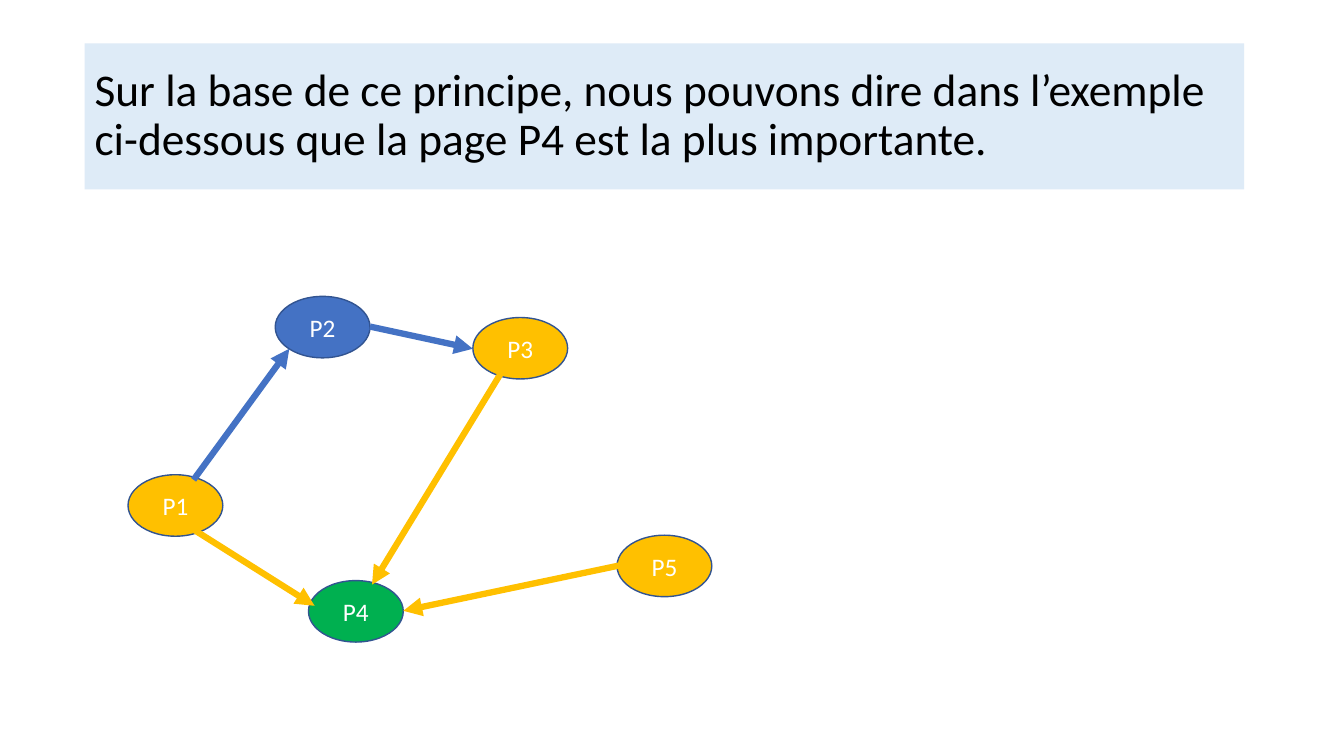
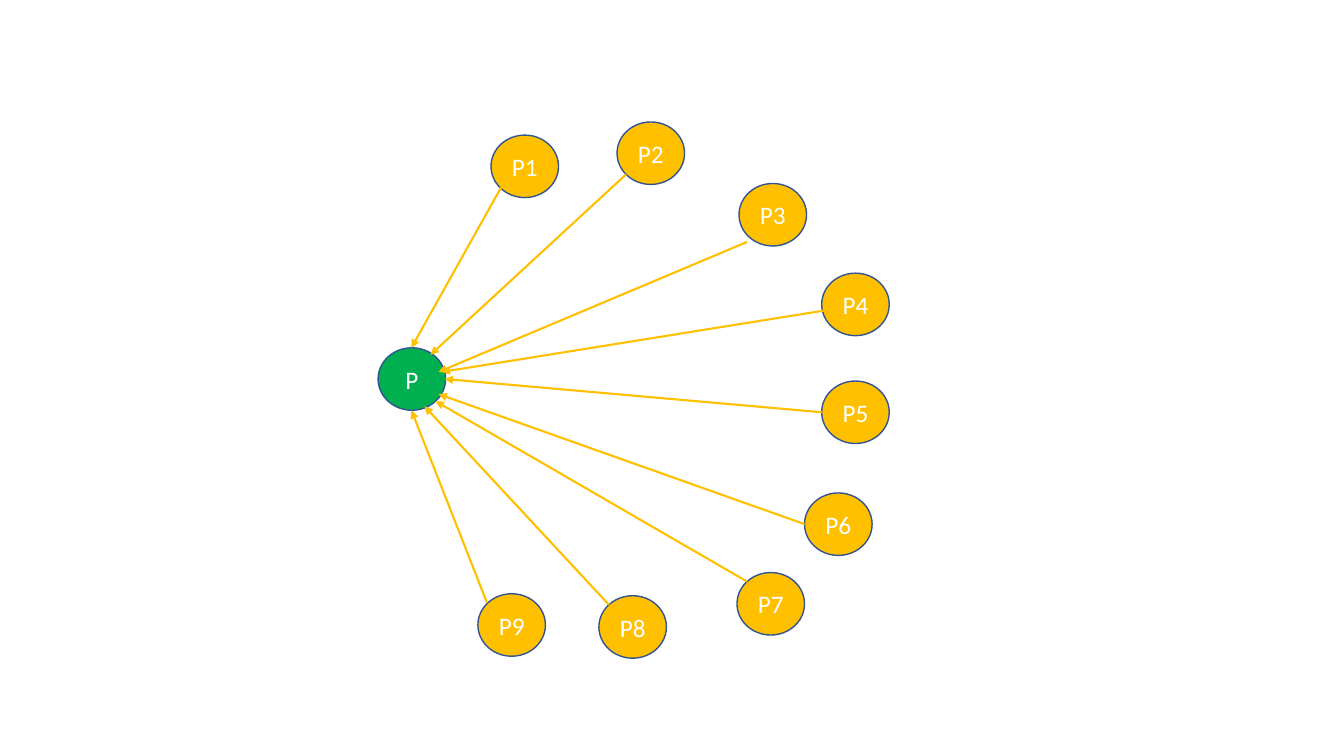
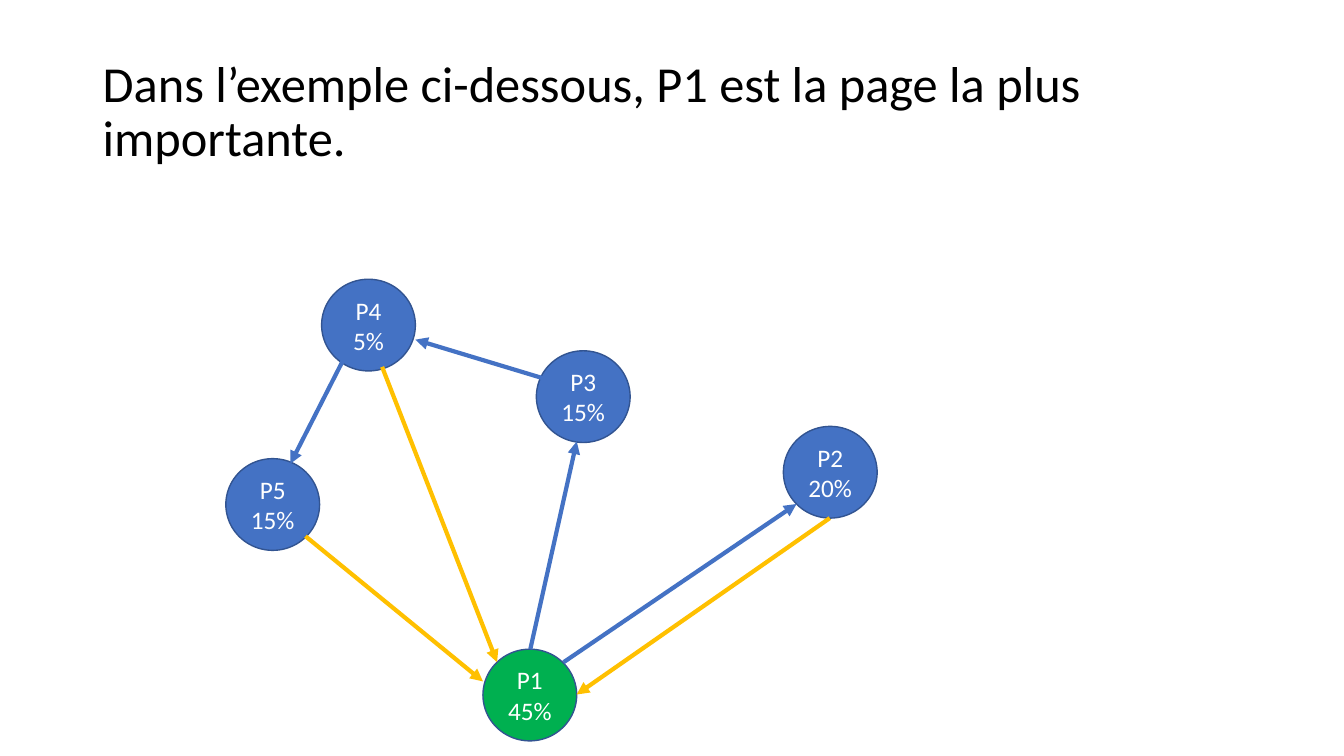
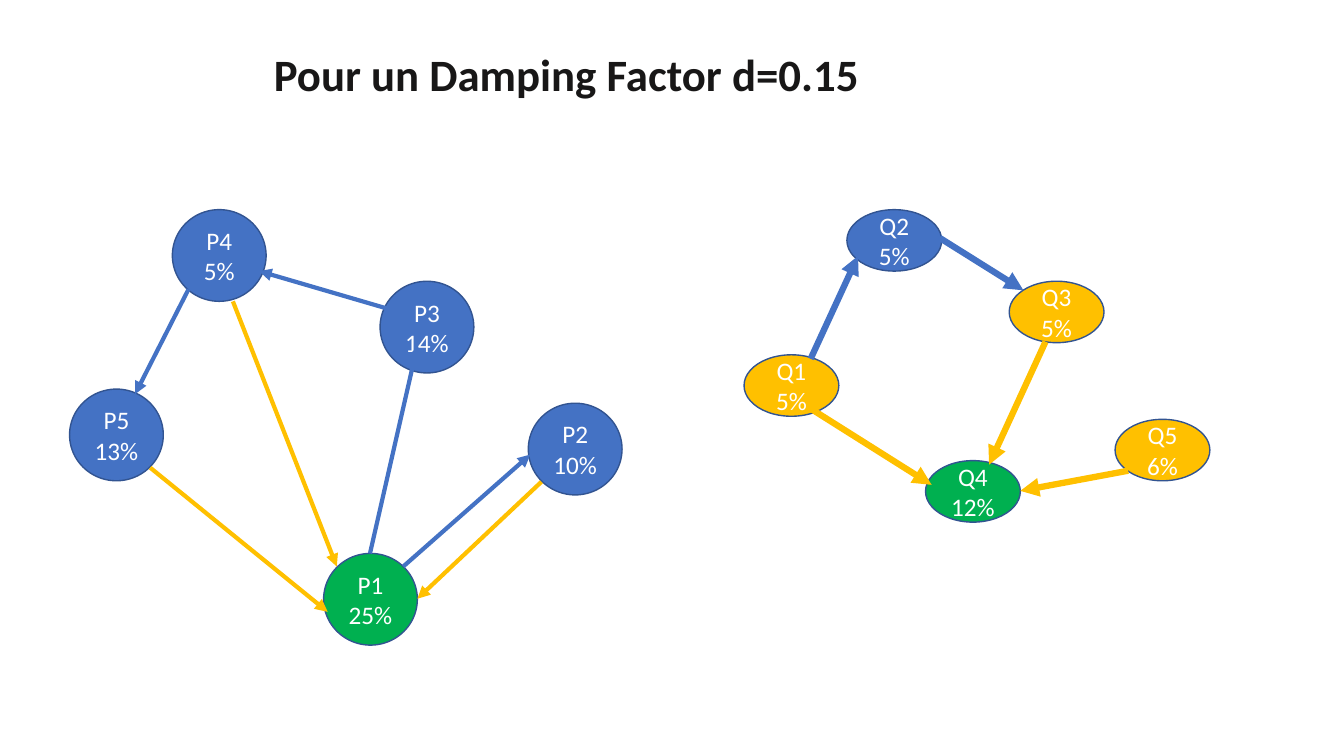
from dataclasses import dataclass
from typing import Any, Optional

from pptx import Presentation
from pptx.dml.color import RGBColor
from pptx.enum.shapes import MSO_CONNECTOR as Wire, MSO_SHAPE as Form
from pptx.enum.text import MSO_ANCHOR as Anchor, PP_ALIGN as Align
from pptx.oxml.ns import qn
from pptx.oxml.xmlchemy import OxmlElement as Tag
from pptx.util import Inches, Pt

FONT = "Calibri"
GOLD = RGBColor(0xFF, 0xC0, 0x00)
BLUE = RGBColor(0x44, 0x72, 0xC4)
GREEN = RGBColor(0x00, 0xB0, 0x50)
EDGE = RGBColor(0x32, 0x54, 0x91)
PALE = RGBColor(0xDE, 0xEB, 0xF7)
WHITE = RGBColor(0xFF, 0xFF, 0xFF)
BLACK = RGBColor(0x00, 0x00, 0x00)
INK = RGBColor(0x18, 0x17, 0x17)


@dataclass
class Node:
    text: str
    x: float
    y: float
    hue: RGBColor = GOLD


@dataclass
class Link:
    x1: float
    y1: float
    x2: float
    y2: float
    hue: RGBColor = GOLD


@dataclass
class Graph:
    wide: float
    high: float
    weight: float
    nodes: list[Node]
    links: list[Link]


@dataclass
class Head:
    text: str
    x: float
    y: float
    wide: float
    high: float
    size: float
    hue: RGBColor = BLACK
    fill: Optional[RGBColor] = None
    bold: bool = False
    align: Any = Align.LEFT
    space: float = 0.9


@dataclass
class Page:
    graphs: list[Graph]
    head: Optional[Head] = None


def assign(item: Any, values: dict[str, Any]) -> None:
    for name, value in values.items():
        setattr(item, name, value)


def write(shape: Any, text: str, wrap: bool, font: dict[str, Any],
          para: dict[str, Any], hue: RGBColor) -> None:
    frame = shape.text_frame
    frame.text = text
    assign(frame, {"word_wrap": wrap, "vertical_anchor": Anchor.MIDDLE})
    for line in frame.paragraphs:
        assign(line, para)
        for run in line.runs:
            assign(run.font, {"name": FONT, **font})
            run.font.color.rgb = hue


def draw_head(slide: Any, head: Head) -> None:
    box = slide.shapes.add_textbox(Inches(head.x), Inches(head.y),
                                   Inches(head.wide), Inches(head.high))
    if head.fill is not None:
        box.fill.solid()
        box.fill.fore_color.rgb = head.fill
    write(box, head.text, True, {"size": Pt(head.size), "bold": head.bold},
          {"alignment": head.align, "line_spacing": head.space}, head.hue)


def draw_node(slide: Any, node: Node, wide: float, high: float) -> None:
    disc = slide.shapes.add_shape(Form.OVAL, Inches(node.x), Inches(node.y),
                                  Inches(wide), Inches(high))
    disc.shadow.inherit = False
    disc.fill.solid()
    disc.fill.fore_color.rgb = node.hue
    disc.line.color.rgb = EDGE
    disc.line.width = Pt(1)
    write(disc, node.text, False, {"size": Pt(18)},
          {"alignment": Align.CENTER}, WHITE)


def draw_link(slide: Any, link: Link, weight: float) -> None:
    arrow = slide.shapes.add_connector(Wire.STRAIGHT, Inches(link.x1), Inches(link.y1),
                                       Inches(link.x2), Inches(link.y2))
    arrow.line.color.rgb = link.hue
    arrow.line.width = Pt(weight)
    tip = Tag("a:tailEnd")
    tip.set("type", "triangle")
    form = arrow.element.spPr
    form.find(qn("a:ln")).append(tip)
    form.append(Tag("a:effectLst"))


def draw_graph(slide: Any, graph: Graph) -> None:
    for node in graph.nodes:
        draw_node(slide, node, graph.wide, graph.high)
    for link in graph.links:
        draw_link(slide, link, graph.weight)


PAGES = [
    Page(
        [Graph(0.94, 0.61, 4.5, [
            Node("P1", 1.27, 4.71),
            Node("P2", 2.73, 2.94, BLUE),
            Node("P3", 4.69, 3.15),
            Node("P5", 6.12, 5.31),
            Node("P4", 3.06, 5.76, GREEN),
        ], [
            Link(1.92, 4.76, 2.87, 3.46, BLUE),
            Link(1.93, 5.26, 3.12, 6.01),
            Link(6.19, 5.6, 4, 6.06),
            Link(3.67, 3.24, 4.69, 3.46, BLUE),
            Link(4.97, 3.7, 3.69, 5.8),
        ])],
        Head("Sur la base de ce principe, nous pouvons dire dans l’exemple "
             "ci-dessous que la page P4 est la plus importante.",
             0.84, 0.43, 11.5, 1.45, 32.4, fill=PALE),
    ),
    Page(
        [Graph(0.67, 0.62, 1.5, [
            Node("P", 3.75, 3.45, GREEN),
            Node("P9", 4.74, 5.89),
            Node("P1", 4.87, 1.34),
            Node("P8", 5.94, 5.91),
            Node("P7", 7.31, 5.68),
            Node("P6", 7.98, 4.89),
            Node("P5", 8.15, 3.78),
            Node("P4", 8.15, 2.71),
            Node("P3", 7.33, 1.82),
            Node("P2", 6.12, 1.21),
        ], [
            Link(4.97, 1.86, 4.08, 3.45),
            Link(6.21, 1.73, 4.27, 3.52),
            Link(7.41, 2.4, 4.35, 3.69),
            Link(8.18, 3.08, 4.38, 3.69),
            Link(8.15, 4.09, 4.41, 3.76),
            Link(7.98, 5.2, 4.35, 3.91),
            Link(4.83, 5.98, 4.08, 4.07),
            Link(6.04, 6, 4.21, 4.03),
            Link(7.41, 5.77, 4.32, 3.98),
        ])],
    ),
    Page(
        [Graph(0.93, 0.91, 3, [
            Node("P5\n15%", 2.24, 4.55, BLUE),
            Node("P4\n5%", 3.19, 2.77, BLUE),
            Node("P1\n45%", 4.79, 6.44, GREEN),
            Node("P3\n15%", 5.32, 3.48, BLUE),
            Node("P2\n20%", 7.77, 4.23, BLUE),
        ], [
            Link(5.59, 6.57, 7.9, 5, BLUE),
            Link(3.79, 3.64, 4.93, 6.57),
            Link(8.23, 5.14, 5.72, 6.89),
            Link(5.26, 6.44, 5.72, 4.38, BLUE),
            Link(5.41, 3.76, 4.12, 3.37, BLUE),
            Link(3.41, 3.56, 2.88, 4.6, BLUE),
            Link(3.03, 5.32, 4.79, 6.76),
        ])],
        Head("Dans l’exemple ci-dessous, P1 est la page la plus importante.",
             0.92, 0.4, 11.5, 1.45, 36),
    ),
    Page(
        [Graph(0.93, 0.91, 3, [
            Node("P5\n13%", 0.69, 3.86, BLUE),
            Node("P4\n5%", 1.71, 2.08, BLUE),
            Node("P1\n25%", 3.21, 5.49, GREEN),
            Node("P3\n14%", 3.77, 2.79, BLUE),
            Node("P2\n10%", 5.24, 4, BLUE),
        ], [
            Link(4, 5.62, 5.26, 4.51, BLUE),
            Link(2.31, 2.99, 3.34, 5.62),
            Link(5.37, 4.78, 4.14, 5.94),
            Link(3.67, 5.49, 4.14, 3.43, BLUE),
            Link(3.87, 3.07, 2.57, 2.69, BLUE),
            Link(1.87, 2.87, 1.34, 3.91, BLUE),
            Link(1.49, 4.64, 3.25, 6.07),
        ]), Graph(0.94, 0.61, 4.5, [
            Node("Q1\n5%", 7.38, 3.52),
            Node("Q2\n5%", 8.4, 2.08, BLUE),
            Node("Q3\n5%", 10.01, 2.79),
            Node("Q5\n6%", 11.06, 4.16),
            Node("Q4\n12%", 9.18, 4.57, GREEN),
        ], [
            Link(8.04, 3.56, 8.51, 2.54, BLUE),
            Link(8.05, 4.06, 9.24, 4.81),
            Link(11.19, 4.67, 10.12, 4.87),
            Link(9.32, 2.36, 10.15, 2.88, BLUE),
            Link(10.37, 3.39, 9.81, 4.61),
        ])],
        Head("Pour un Damping Factor d=0.15", 2.37, 0.24, 6.5, 0.98, 32,
             INK, bold=True, align=Align.CENTER, space=1.0),
    ),
]


def main() -> None:
    deck = Presentation()
    assign(deck, {"slide_width": Inches(13.33), "slide_height": Inches(7.5)})
    for page in PAGES:
        slide = deck.slides.add_slide(deck.slide_layouts[6])
        if page.head is not None:
            draw_head(slide, page.head)
        for graph in page.graphs:
            draw_graph(slide, graph)
    deck.save("out.pptx")


if __name__ == "__main__":
    main()
